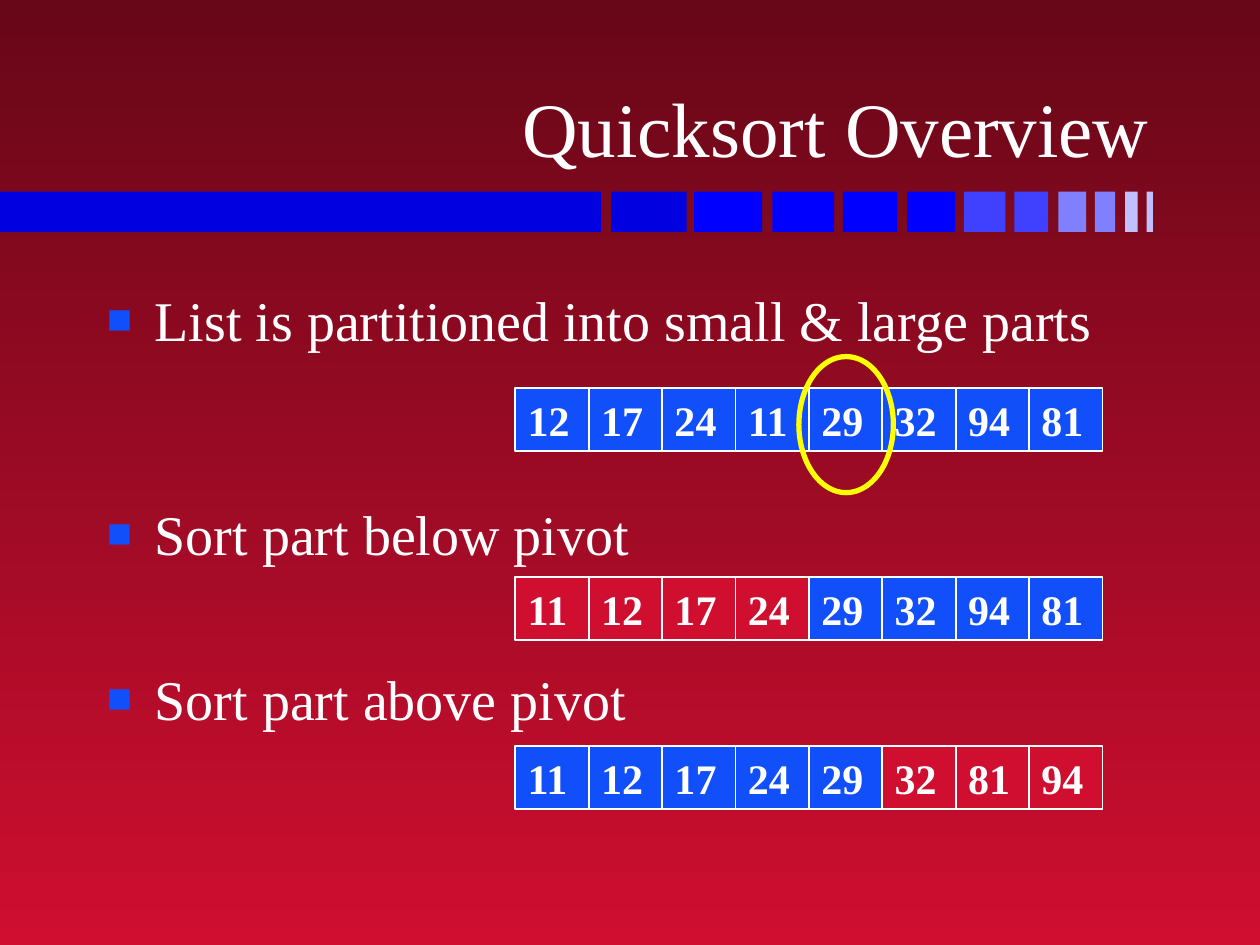
import pptx
import pptx.dml.color
import pptx.enum.shapes
import pptx.enum.text
import pptx.oxml
import pptx.oxml.ns
import pptx.util
from pptx.util import Inches

FONT = "Times New Roman"
WHITE, YELLOW = "FFFFFF", "FFFF00"
BLUE, RED, DARK_RED = "114FFB", "CF0E30", "670718"
SHAPES = pptx.enum.shapes.MSO_SHAPE
ANCHOR = pptx.enum.text.MSO_ANCHOR
ALIGN = pptx.enum.text.PP_ALIGN

BAR_SEGMENTS = [
    (0, 4.77, "0000E0"), (4.85, 0.6, "0000E0"),
    (5.51, 0.54, "0000FF"), (6.13, 0.49, "0000FF"),
    (6.69, 0.43, "0000FF"), (7.2, 0.38, "0000FF"),
    (7.65, 0.33, "4040FF"), (8.05, 0.27, "4040FF"),
    (8.4, 0.22, "8080FF"), (8.69, 0.16, "8080FF"),
    (8.93, 0.1, "C0C0FF"), (9.1, 0.05, "C0C0FF"),
]
# Text and the space above it in points
STEPS = [
    ("List is partitioned into small & large parts", 0),
    ("Sort part below pivot", 83.8),
    ("Sort part above pivot", 55.8),
]
# Top edge, values, and the positions sorted in this step
LISTS = [
    (3.08, [12, 17, 24, 11, 29, 32, 94, 81], range(0)),
    (4.58, [11, 12, 17, 24, 29, 32, 94, 81], range(4)),
    (5.92, [11, 12, 17, 24, 29, 32, 81, 94], range(5, 8)),
]


def color(hex_code):
    return pptx.dml.color.RGBColor.from_string(hex_code)


def add_shape(slide, kind, left, top, width, height, fill=None, line=None, weight=1):
    shape = slide.shapes.add_shape(
        kind, Inches(left), Inches(top), Inches(width), Inches(height))
    shape.shadow.inherit = False
    if fill:
        shape.fill.solid()
        shape.fill.fore_color.rgb = color(fill)
    else:
        shape.fill.background()
    if line:
        shape.line.color.rgb = color(line)
        shape.line.width = pptx.util.Pt(weight)
    else:
        shape.line.fill.background()
    return shape


def add_run(paragraph, text, size, bold=False):
    run = paragraph.add_run()
    run.text = text
    run.font.name = FONT
    run.font.size = pptx.util.Pt(size)
    run.font.bold = bold
    run.font.color.rgb = color(WHITE)


def add_text_frame(slide, left, top, width, height):
    box = slide.shapes.add_textbox(
        Inches(left), Inches(top), Inches(width), Inches(height))
    box.text_frame.word_wrap = True
    return box.text_frame


def add_square_bullet(paragraph):
    properties = paragraph._p.get_or_add_pPr()
    properties.set("marL", str(Inches(0.38)))
    properties.set("indent", str(Inches(-0.38)))
    namespace = pptx.oxml.ns.nsdecls("a")
    for element in (
        f'<a:buClr {namespace}><a:srgbClr val="{BLUE}"/></a:buClr>',
        f'<a:buSzPct {namespace} val="75000"/>',
        f'<a:buFont {namespace} typeface="{FONT}"/>',
        f'<a:buChar {namespace} char="■"/>',
    ):
        properties.append(pptx.oxml.parse_xml(element))


def paint_background(slide):
    fill = slide.background.fill
    fill.gradient()
    fill.gradient_angle = 270
    for stop, position, shade in zip(fill.gradient_stops, (0, 1), (DARK_RED, RED)):
        stop.position = position
        stop.color.rgb = color(shade)


def add_title(slide, left, top, width, height):
    frame = add_text_frame(slide, left, top, width, height)
    frame.vertical_anchor = ANCHOR.BOTTOM
    paragraph = frame.paragraphs[0]
    paragraph.alignment = ALIGN.RIGHT
    add_run(paragraph, "Quicksort Overview", 44)


def add_bar(slide, left, top, height):
    for offset, width, shade in BAR_SEGMENTS:
        add_shape(slide, SHAPES.RECTANGLE, left + offset, top, width, height, shade)


def add_steps(slide, left, top, width, height):
    frame = add_text_frame(slide, left, top, width, height)
    frame.margin_top = Inches(0.1)
    for index, (text, space) in enumerate(STEPS):
        paragraph = frame.add_paragraph() if index else frame.paragraphs[0]
        add_square_bullet(paragraph)
        if space:
            paragraph.space_before = pptx.util.Pt(space)
        add_run(paragraph, text, 32)


def add_number_list(slide, left, top, width, height, values, sorted_positions):
    cell_width = width / len(values)
    for index, value in enumerate(values):
        fill = RED if index in sorted_positions else BLUE
        cell = add_shape(slide, SHAPES.RECTANGLE, left + index * cell_width, top,
                         cell_width, height, fill, WHITE)
        frame = cell.text_frame
        frame.word_wrap = False
        frame.vertical_anchor = ANCHOR.MIDDLE
        paragraph = frame.paragraphs[0]
        paragraph.alignment = ALIGN.LEFT
        add_run(paragraph, str(value), 24, bold=True)


def main():
    presentation = pptx.Presentation()
    presentation.slide_width, presentation.slide_height = Inches(10), Inches(7.5)
    slide = presentation.slides.add_slide(presentation.slide_layouts[6])
    paint_background(slide)
    add_bar(slide, 0, 1.52, 0.32)
    add_title(slide, 0.74, 0.19, 8.48, 1.23)
    add_steps(slide, 0.75, 2.17, 8.5, 4.5)
    for top, values, sorted_positions in LISTS:
        add_number_list(slide, 4.09, top, 4.66, 0.5, values, sorted_positions)
    add_shape(slide, SHAPES.OVAL, 6.34, 2.83, 0.75, 1.08, line=YELLOW, weight=3)
    presentation.save("out.pptx")


if __name__ == "__main__":
    main()
